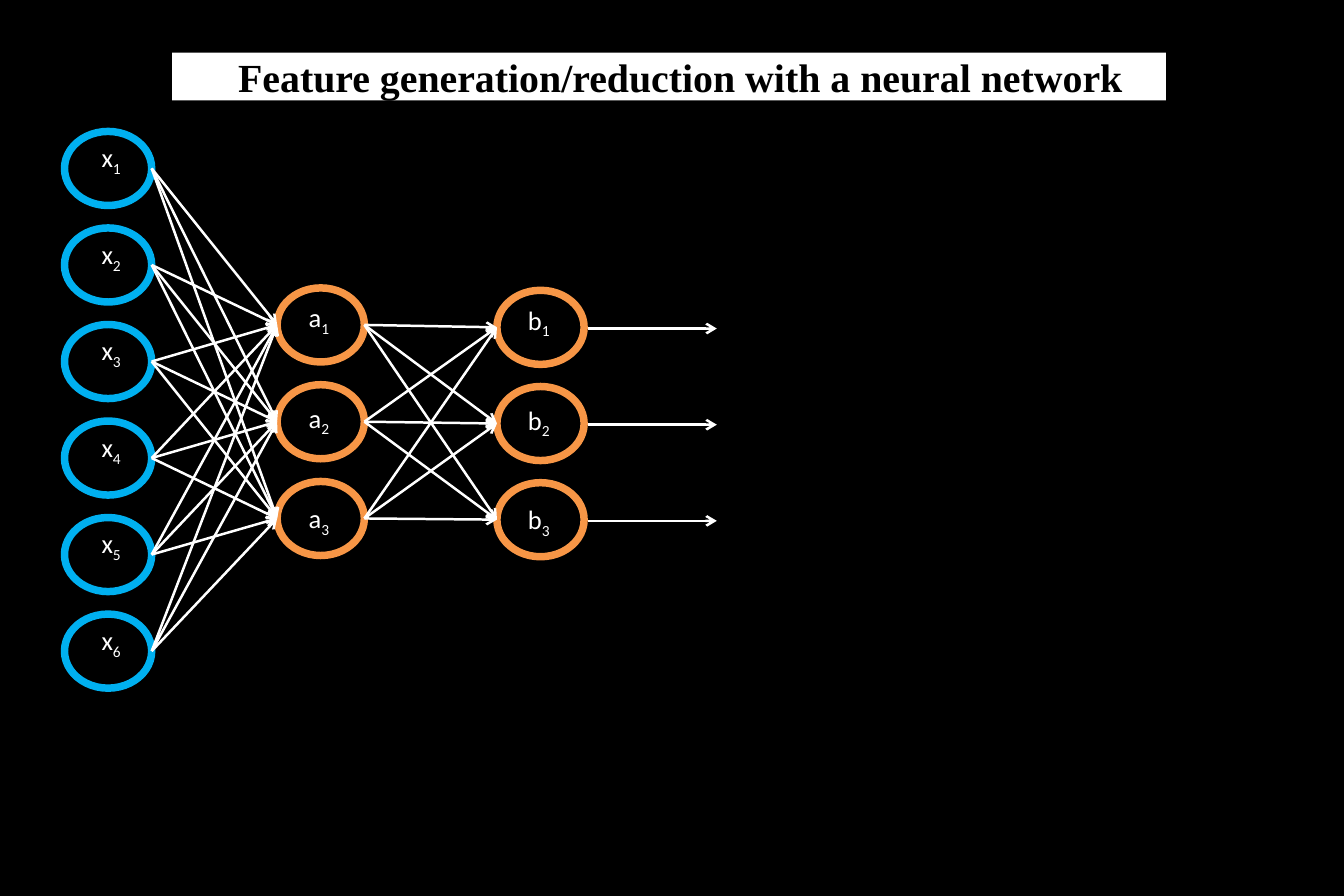
from itertools import product

from lxml import etree
from pptx import Presentation
from pptx import util as u
from pptx.dml.color import RGBColor
from pptx.enum import shapes, text
from pptx.oxml import ns

BLACK = RGBColor(0x00, 0x00, 0x00)
WHITE = RGBColor(0xFF, 0xFF, 0xFF)
BLUE = RGBColor(0x00, 0xB0, 0xF0)
ORANGE = RGBColor(0xF7, 0x96, 0x46)

SLIDE_W, SLIDE_H = 11.25, 7.5
NODE_W, NODE_H = 0.73, 0.62
LABEL_W, LABEL_H = 0.38, 0.37
TITLE_FONT = {"name": "Times New Roman", "size": u.Pt(24), "bold": True}
LABEL_FONT = {"name": "Calibri", "size": u.Pt(16)}


def inches(*lengths):
    """Convert lengths in inches to slide units."""
    return [u.Inches(n) for n in lengths]


def add_run(p, words, font, color):
    """Append a formatted run to a paragraph."""
    r = p.add_run()
    r.text = words
    for name, value in font.items():
        setattr(r.font, name, value)
    r.font.color.rgb = color
    return r


def add_text(s, box, wrap):
    """Add a centred text box and return its paragraph."""
    tf = s.shapes.add_textbox(*inches(*box)).text_frame
    settings = {"word_wrap": wrap, "vertical_anchor": text.MSO_ANCHOR.MIDDLE}
    for name, value in settings.items():
        setattr(tf, name, value)
    p = tf.paragraphs[0]
    p.alignment = text.PP_ALIGN.CENTER
    return p


def add_arrow(s, start, end):
    """Draw a white arrow between two points."""
    c = s.shapes.add_connector(shapes.MSO_CONNECTOR.STRAIGHT, *inches(*start, *end))
    c.line.color.rgb = WHITE
    c.line.width = u.Pt(1.5)
    tail = etree.SubElement(c.line._get_or_add_ln(), ns.qn("a:tailEnd"))
    tail.set("type", "arrow")
    etree.SubElement(c._element.spPr, ns.qn("a:effectLst"))


def add_title(s, box, words):
    """Place the heading over a white bar in the box."""
    x, y, w, h = box
    bar = s.shapes.add_shape(shapes.MSO_SHAPE.RECTANGLE, *inches(*box))
    bar.shadow.inherit = False
    bar.fill.solid()
    bar.fill.fore_color.rgb = WHITE
    bar.line.fill.background()
    p = add_text(s, (x - 0.35, y, w + 0.89, h), True)
    add_run(p, words, TITLE_FONT, BLACK)


def add_layer(s, box, letter, count, color, label_dx, label_dy, label_step):
    """Spread labelled nodes down the box and return their side points."""
    x, y, w, h = box
    pitch = (h - NODE_H) / (count - 1)
    lefts, rights = [], []
    for i in range(count):
        top = y + i * pitch
        node = s.shapes.add_shape(shapes.MSO_SHAPE.OVAL, *inches(x, top, w, NODE_H))
        node.shadow.inherit = False
        node.fill.background()
        node.line.color.rgb = color
        node.line.width = u.Pt(4.5)
        label_top = top + label_dy + i * label_step
        p = add_text(s, (x + label_dx, label_top, LABEL_W, LABEL_H), False)
        add_run(p, letter, LABEL_FONT, WHITE)
        r = add_run(p, str(i + 1), LABEL_FONT, WHITE)
        r.font._element.set("baseline", "-25000")
        middle = top + NODE_H / 2
        lefts.append((x, middle))
        rights.append((x + w, middle))
    return lefts, rights


def add_network(s, box):
    """Build the three layers and their arrows inside the box."""
    x, y, w, h = box
    _, x_out = add_layer(s, (x, y, NODE_W, h), "x", 6, BLUE, 0.2, 0.05, 0)
    a_in, a_out = add_layer(s, (x + 1.78, y + 1.31, NODE_W, 2.24), "a", 3, ORANGE,
                            0.16, 0.08, 0.03)
    b_in, b_out = add_layer(s, (x + 3.62, y + 1.33, NODE_W, 2.23), "b", 3, ORANGE,
                            0.16, 0.08, 0.03)
    for start, end in [*product(x_out, a_in), *product(a_out, b_in)]:
        add_arrow(s, start, end)
    for bx, by in b_out:
        add_arrow(s, (bx + 0.03, by + 0.01), (x + w, by + 0.01))


def main():
    """Create the slide and save it."""
    prs = Presentation()
    prs.slide_width, prs.slide_height = inches(SLIDE_W, SLIDE_H)
    s = prs.slides.add_slide(prs.slide_layouts[6])
    s.background.fill.solid()
    s.background.fill.fore_color.rgb = BLACK
    add_title(s, (1.44, 0.44, 8.32, 0.4),
              "Feature generation/reduction with a neural network")
    add_network(s, (0.54, 1.1, 5.46, 4.66))
    prs.save("out.pptx")


if __name__ == "__main__":
    main()
